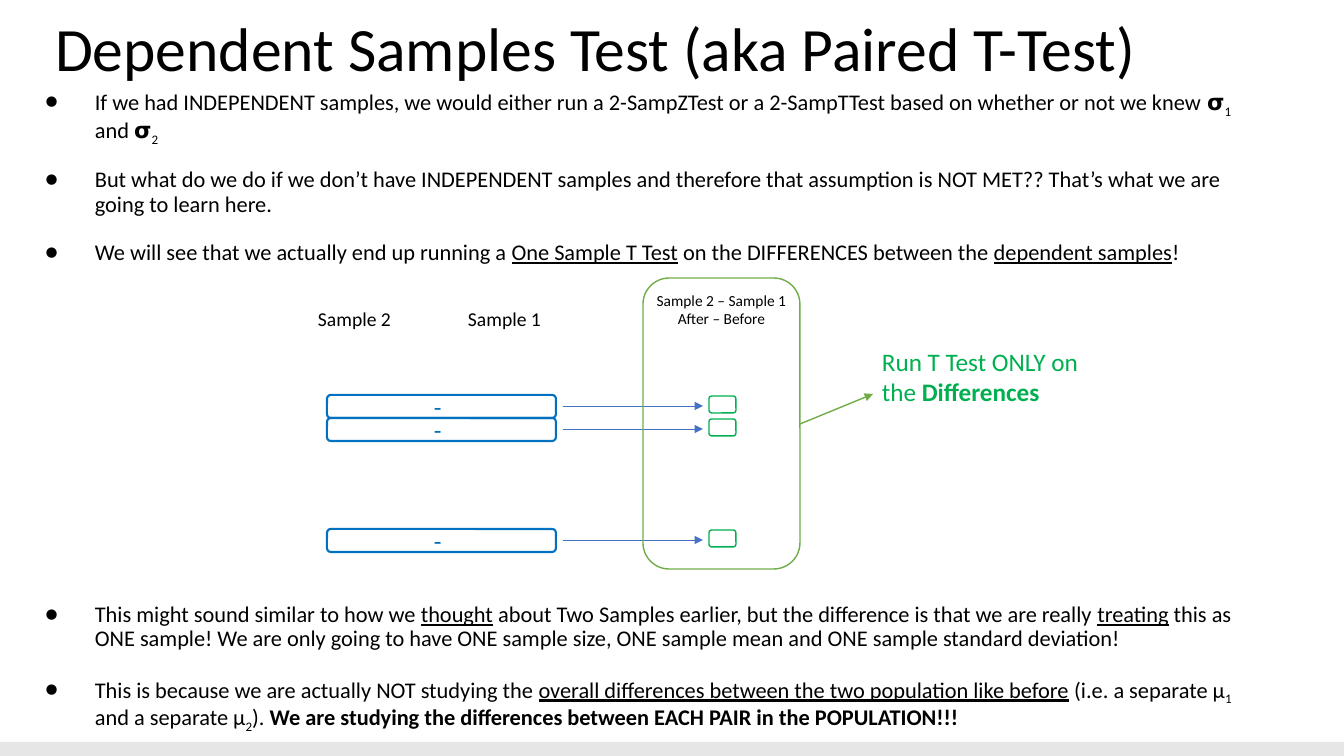
from lxml.etree import SubElement
from pptx import Presentation
from pptx.dml.color import RGBColor
from pptx.enum.shapes import MSO_CONNECTOR, MSO_SHAPE
from pptx.enum.text import MSO_ANCHOR, MSO_AUTO_SIZE, PP_ALIGN
from pptx.oxml.ns import qn
from pptx.util import Emu, Pt

BLACK = RGBColor(0x00, 0x00, 0x00)
GREY = RGBColor(0xE7, 0xE6, 0xE6)
BLUE = RGBColor(0x00, 0x70, 0xC0)
ARROW_BLUE = RGBColor(0x44, 0x72, 0xC4)
GREEN = RGBColor(0x00, 0xB0, 0x50)
OLIVE = RGBColor(0x70, 0xAD, 0x47)

TITLE = "Dependent Samples Test (aka Paired T-Test)"
BULLETS = [
    (0, [("If we had INDEPENDENT samples, we would either run a 2-SampZTest or a "
          "2-SampTTest based on whether or not we knew 𝞂", ""),
         ("1", "sub"), (" and 𝞂", ""), ("2", "sub")]),
    (17.6, [("But what do we do if we don’t have INDEPENDENT samples and therefore that "
             "assumption is NOT MET?? That’s what we are going to learn here.", "")]),
    (17.6, [("We will see that we actually end up running a ", ""),
            ("One Sample T Test", "underline"),
            (" on the DIFFERENCES between the ", ""),
            ("dependent samples", "underline"), ("!", "")]),
    (241, [("This might sound similar to how we ", ""), ("thought", "underline"),
           (" about Two Samples earlier, but the difference is that we are really ", ""),
           ("treating", "underline"),
           (" this as ONE sample! We are only going to have ONE sample size, ONE sample "
            "mean and ONE sample standard deviation!", "")]),
    (17.6, [("This is because we are actually NOT studying the ", ""),
            ("overall differences between the two population like before", "underline"),
            (" (i.e. a separate µ", ""), ("1", "sub"), (" and a separate µ", ""),
            ("2", "sub"), ("). ", ""),
            ("We are studying the differences between EACH PAIR in the POPULATION!!!", "bold")]),
]
SAMPLES = [("Sample 2", 308), ("Sample 1", 458)]
DIFFERENCE = ["Sample 2 – Sample 1", "After – Before"]
CONCLUSION = [("Run T Test ONLY on the ", ""), ("Differences", "bold")]
PAIR_TOPS = [395, 418, 529]


def px(n):
    return Emu(round(n * 914400 / 100.8))


def box(*at):
    return [px(n) for n in at]


def set_font(font, size, color):
    font.name = "Calibri"
    font.size = Pt(size)
    font.color.rgb = color


def add_runs(p, runs, size, color):
    for text, style in runs:
        r = p.add_run()
        r.text = text
        set_font(r.font, size, color)
        if style == "bold":
            r.font.bold = True
        elif style == "underline":
            r.font.underline = True
        elif style == "sub":
            r.font._element.set("baseline", "-25000")


def add_text(at, paragraphs, size, color, wrap=False, align=PP_ALIGN.LEFT):
    tf = s.shapes.add_textbox(*box(*at)).text_frame
    tf.word_wrap = wrap
    for i, runs in enumerate(paragraphs):
        p = tf.add_paragraph() if i else tf.paragraphs[0]
        p.alignment = align
        add_runs(p, runs, size, color)
    return tf


def add_outline(at, color, width):
    sp = s.shapes.add_shape(MSO_SHAPE.ROUNDED_RECTANGLE, *box(*at))
    sp.shadow.inherit = False
    sp.fill.background()
    sp.line.color.rgb = color
    sp.line.width = Pt(width)


def add_arrow(ends, color, width):
    c = s.shapes.add_connector(MSO_CONNECTOR.STRAIGHT, *box(*ends))
    c.line.color.rgb = color
    c.line.width = Pt(width)
    SubElement(c.line._get_or_add_ln(), qn("a:tailEnd"), type="triangle")
    SubElement(c._element.spPr, qn("a:effectLst"))


prs = Presentation()
prs.slide_width, prs.slide_height = box(1344, 756)
s = prs.slides.add_slide(prs.slide_layouts[5])

bar = s.shapes.add_shape(MSO_SHAPE.RECTANGLE, *box(0, 742, 1344, 14))
bar.shadow.inherit = False
bar.fill.solid()
bar.fill.fore_color.rgb = GREY
bar.line.fill.background()

title = s.shapes.title
title.left, title.top, title.width, title.height = box(45, 9, 1252, 85)
tf = title.text_frame
tf.text = TITLE
tf.word_wrap = True
tf.auto_size = MSO_AUTO_SIZE.NONE
tf.vertical_anchor = MSO_ANCHOR.MIDDLE
p = tf.paragraphs[0]
p.alignment = PP_ALIGN.LEFT
p.line_spacing = 0.9
set_font(p.runs[0].font, 44, BLACK)

tf = add_text((18, 79, 1252, 502), [runs for _, runs in BULLETS], 16, BLACK, wrap=True)
tf.margin_top = tf.margin_bottom = px(10)
for p, (gap, _) in zip(tf.paragraphs, BULLETS):
    p.line_spacing = 0.9
    p.space_before = Pt(gap)
    pPr = p._p.get_or_add_pPr()
    pPr.set("marL", str(px(67)))
    pPr.set("indent", str(-px(50)))
    SubElement(pPr, qn("a:buFont"), typeface="Calibri")
    SubElement(pPr, qn("a:buChar"), char="●")

for top in PAIR_TOPS:
    add_outline((327, top, 229, 23), BLUE, 1.5)
    add_text((424, top - 9, 28, 40), [[("-", "")]], 18, BLUE)
    add_arrow((563, top + 11, 703, top + 11), ARROW_BLUE, 0.5)
    add_outline((709, top + 1, 27, 17), GREEN, 1)

for name, left in SAMPLES:
    add_text((left, 302, 94, 34), [[(name, "")]], 14, BLACK)

add_text((643, 286, 157, 72), [[(line, "")] for line in DIFFERENCE], 11, BLACK,
         align=PP_ALIGN.CENTER)
add_outline((643, 278, 157, 291), OLIVE, 1)
add_arrow((800, 424, 873, 394), OLIVE, 1)
add_text((872, 341, 226, 72), [CONCLUSION], 18, GREEN, wrap=True)

prs.save("out.pptx")
